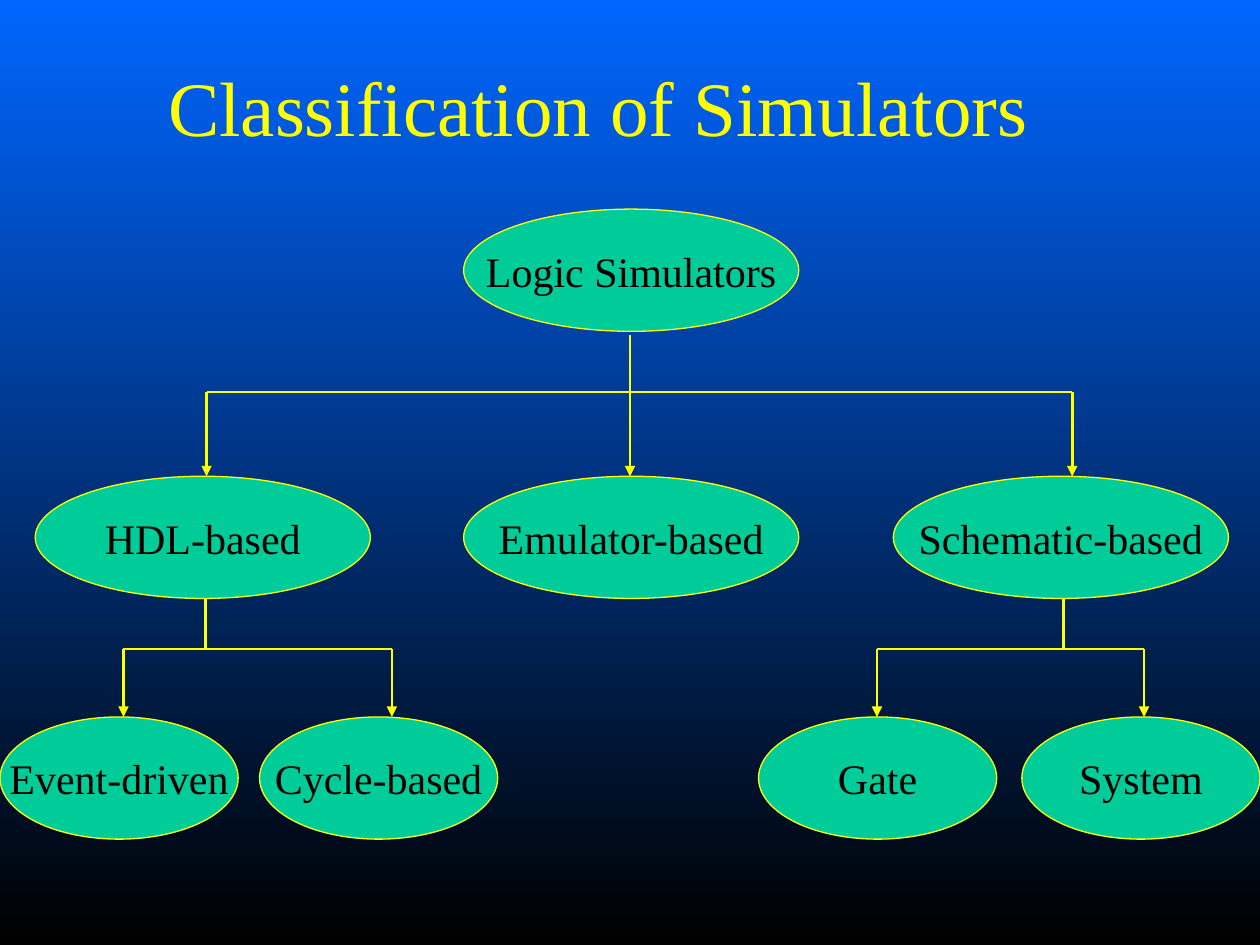
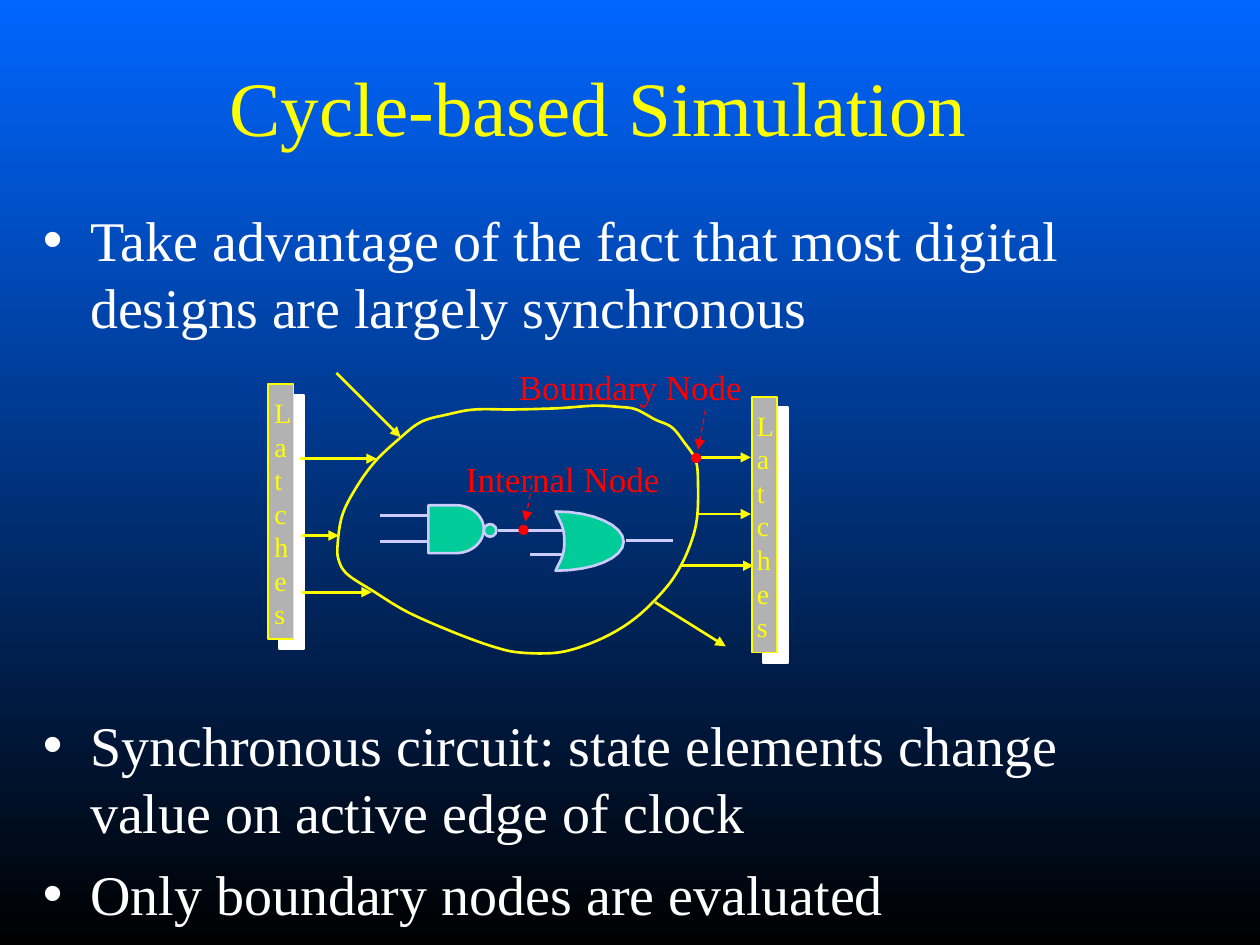
from dataclasses import dataclass
from typing import Optional

from lxml import etree
from pptx import Presentation
from pptx import util as u
from pptx.dml.color import RGBColor
from pptx.enum import dml, shapes, text
from pptx.oxml import ns

WIDTH, HEIGHT = u.Inches(10), u.Inches(7.5)
GRID_COLUMNS, GRID_ROWS = 100, 75

SKY = RGBColor(0x00, 0x66, 0xFF)
BLACK = RGBColor(0x00, 0x00, 0x00)
YELLOW = RGBColor(0xFF, 0xFF, 0x00)
GREEN = RGBColor(0x00, 0xCC, 0x99)
WHITE = RGBColor(0xFF, 0xFF, 0xFF)
GRAY = RGBColor(0xB2, 0xB2, 0xB2)
LILAC = RGBColor(0xCC, 0xCC, 0xFF)
RED = RGBColor(0xFF, 0x00, 0x00)

FONT = "Times New Roman"
Point = tuple[float, float]


@dataclass(frozen=True)
class Area:
    column: float
    row: float
    width: float
    height: float


@dataclass(frozen=True)
class Branch:
    stem: float
    top: float
    bar: float
    bottom: float
    drops: tuple[float, ...]


@dataclass(frozen=True)
class Wire:
    start: Point
    end: Point
    color: RGBColor = YELLOW
    weight: float = 1.5
    arrow: bool = True
    dashed: bool = False


@dataclass(frozen=True)
class NodeMark:
    label: str
    label_area: Area
    dot: Area
    pointer: Wire


@dataclass(frozen=True)
class Latch:
    bar: Area
    letters: Area


TITLE_AREA = Area(2.4, 2.5, 90.2, 11.7)
UPPER_LIST = Area(2.4, 15.8, 90.2, 12.3)
LOWER_LIST = Area(2.4, 55.9, 90.2, 19.1)

OVAL_HEIGHT = 9.7
LEVELS = (
    (16.6, 26.6, {"Logic Simulators": 36.8}),
    (37.8, 26.6, {"HDL-based": 2.8, "Emulator-based": 36.8, "Schematic-based": 70.9}),
    (56.9, 18.9, {"Event-driven": 0, "Cycle-based": 20.6, "Gate": 60.2, "System": 81.1}),
)
BRANCHES = (
    Branch(50, 26.6, 31.1, 37.8, (16.4, 50, 85.1)),
    Branch(16.3, 47.5, 51.5, 56.9, (9.8, 31.1)),
    Branch(84.4, 47.5, 51.5, 56.9, (69.6, 90.8)),
)

CLOUD = (
    (49.2, 32.3), (47.2, 32.2), (44.3, 32.4), (40.8, 32.5), (37.7, 32.5), (35.5, 32.9),
    (33.4, 33.5), (31.6, 34.9), (29.8, 36.6), (28.4, 38.5), (27.2, 40.8), (26.8, 43.2),
    (26.9, 44.5), (27.6, 45.6), (29.6, 46.9), (32.4, 48.6), (36.3, 50.3), (39.4, 51.4),
    (41.4, 51.8), (44.2, 51.8), (46.5, 51.2), (48.7, 50.2), (50.5, 49), (52.1, 47.5),
    (53.5, 45.8), (54.6, 43.7), (55.3, 41.3), (55.4, 38.3), (55.2, 36.5), (54.3, 35.1),
    (53.3, 33.9), (52, 33.3), (50.5, 32.5),
)
OR_GATE = (
    ((44.1, 40.6), (44.4, 41.4), (44.8, 41.7), (44.8, 43)),
    ((44.8, 43), (44.8, 44.2), (44.4, 44.6), (44.1, 45.3)),
    ((44.1, 45.3), (47.1, 45.3), (49.5, 44.3), (49.5, 43)),
    ((49.5, 43), (49.5, 41.7), (47.1, 40.6), (44.1, 40.6)),
)
NAND_BODY = Area(34, 40.1, 4.4, 3.8)
NAND_BUBBLE = Area(38.4, 41.6, 1, 1)
LATCHES = (
    Latch(Area(21.3, 30.5, 2, 20.2), Area(20.8, 30.9, 3.3, 19.7)),
    Latch(Area(59.7, 31.5, 2, 20.3), Area(59.1, 31.9, 3.3, 19.7)),
)
SIGNALS = (
    Wire((23.8, 36.4), (29.9, 36.4)),
    Wire((23.9, 47), (29.5, 47)),
    Wire((23.9, 42.5), (26.9, 42.5)),
    Wire((55.4, 36.3), (59.6, 36.3)),
    Wire((55.4, 40.8), (59.6, 40.8)),
    Wire((54, 44.9), (59.8, 44.9)),
    Wire((52, 47.8), (57.6, 51.3)),
    Wire((26.7, 29.6), (31.8, 34.7)),
)
GATE_LEADS = tuple(
    Wire((left, row), (right, row), LILAC, arrow=False)
    for left, right, row in (
        (39.5, 44.6, 42.1), (30.2, 33.9, 40.9), (30.2, 33.9, 43),
        (42.1, 44.6, 44), (49.7, 53.4, 42.9),
    )
)
NODE_MARKS = (
    NodeMark("Internal Node", Area(36, 35.8, 17.4, 4.4), Area(41.2, 41.7, 0.7, 0.7),
             Wire((42.2, 38.5), (41.7, 41.4), RED, 0.75, dashed=True)),
    NodeMark("Boundary Node", Area(40.2, 28.5, 19.7, 4.4), Area(54.9, 36, 0.7, 0.7),
             Wire((56, 32.5), (55.4, 35.7), RED, 0.75, dashed=True)),
)


def columns(count: float) -> u.Emu:
    return u.Emu(round(WIDTH * count / GRID_COLUMNS))


def rows(count: float) -> u.Emu:
    return u.Emu(round(HEIGHT * count / GRID_ROWS))


def bounds(area: Area) -> tuple[u.Emu, ...]:
    return columns(area.column), rows(area.row), columns(area.width), rows(area.height)


def write(frame, lines, *, size: float, color: RGBColor, align=text.PP_ALIGN.LEFT,
          anchor=text.MSO_ANCHOR.TOP, wrap: bool = True, gap: float = 0,
          fit=text.MSO_AUTO_SIZE.NONE) -> None:
    frame.word_wrap = wrap
    frame.auto_size = fit
    frame.vertical_anchor = anchor
    for index, line in enumerate(lines):
        para = frame.add_paragraph() if index else frame.paragraphs[0]
        para.alignment = align
        para.space_before = u.Pt(gap if index else 0)
        span = para.add_run()
        span.text = line
        span.font.name = FONT
        span.font.size = u.Pt(size)
        span.font.color.rgb = color


def paint(shape, fill: Optional[RGBColor], line: RGBColor, weight: float) -> None:
    shape.shadow.inherit = False
    if fill is None:
        shape.fill.background()
    else:
        shape.fill.solid()
        shape.fill.fore_color.rgb = fill
    shape.line.color.rgb = line
    shape.line.width = u.Pt(weight)


def draw_shape(page, kind, area: Area, fill: RGBColor, line: RGBColor, weight: float):
    shape = page.shapes.add_shape(kind, *bounds(area))
    paint(shape, fill, line, weight)
    return shape


def draw_wire(page, wire: Wire) -> None:
    (left, top), (right, bottom) = wire.start, wire.end
    connector = page.shapes.add_connector(
        shapes.MSO_CONNECTOR.STRAIGHT, columns(left), rows(top), columns(right), rows(bottom))
    connector.line.color.rgb = wire.color
    connector.line.width = u.Pt(wire.weight)
    if wire.dashed:
        connector.line.dash_style = dml.MSO_LINE.DASH
    properties = connector._element.spPr
    if wire.arrow:
        etree.SubElement(properties.find(ns.qn("a:ln")), ns.qn("a:tailEnd"), type="triangle")
    etree.SubElement(properties, ns.qn("a:effectLst"))


def draw_label(page, area: Area, lines, size: float, color: RGBColor) -> None:
    box = page.shapes.add_textbox(*bounds(area))
    write(box.text_frame, lines, size=size, color=color, wrap=False,
          fit=text.MSO_AUTO_SIZE.SHAPE_TO_FIT_TEXT)


def cubic(curve: tuple[Point, ...], steps: int = 8) -> list[Point]:
    points = []
    for step in range(1, steps + 1):
        t = step / steps
        weights = ((1 - t) ** 3, 3 * t * (1 - t) ** 2, 3 * t * t * (1 - t), t ** 3)
        points.append(tuple(sum(w * p[axis] for w, p in zip(weights, curve))
                            for axis in (0, 1)))
    return points


def smooth_curves(knots: tuple[Point, ...]) -> list[tuple[Point, ...]]:
    curves = []
    for index, start in enumerate(knots):
        before = knots[index - 1]
        end, after = (knots[(index + ahead) % len(knots)] for ahead in (1, 2))
        leaving = tuple(s + (e - b) / 6 for b, s, e in zip(before, start, end))
        arriving = tuple(e - (a - s) / 6 for s, e, a in zip(start, end, after))
        curves.append((start, leaving, arriving, end))
    return curves


def draw_outline(page, curves, fill: Optional[RGBColor], line: RGBColor) -> None:
    points = [point for curve in curves for point in cubic(curve)]
    scaled = [(columns(x), rows(y)) for x, y in points]
    builder = page.shapes.build_freeform(*scaled[-1])
    builder.add_line_segments(scaled, close=True)
    paint(builder.convert_to_shape(), fill, line, 1.5)


def cast_shadow(shape, color: RGBColor) -> None:
    effects = shape._element.spPr.find(ns.qn("a:effectLst"))
    shadow = etree.SubElement(effects, ns.qn("a:outerShdw"), dist=str(u.Pt(8.5)),
                              dir=str(45 * 60000), algn="ctr", rotWithShape="0")
    etree.SubElement(shadow, ns.qn("a:srgbClr"), val=str(color))


def place(holder, area: Area) -> None:
    holder.left, holder.top, holder.width, holder.height = bounds(area)


def add_page(deck, layout_name: str, title: str):
    page = deck.slides.add_slide(deck.slide_layouts.get_by_name(layout_name))
    place(page.shapes.title, TITLE_AREA)
    write(page.shapes.title.text_frame, [title], size=44, color=YELLOW,
          align=text.PP_ALIGN.CENTER, anchor=text.MSO_ANCHOR.MIDDLE)
    return page


def fill_list(holder, area: Area, items) -> None:
    place(holder, area)
    write(holder.text_frame, items, size=32, color=WHITE, gap=8)


def draw_branch(page, branch: Branch) -> None:
    draw_wire(page, Wire((branch.stem, branch.top), (branch.stem, branch.bar), arrow=False))
    draw_wire(page, Wire((branch.drops[0], branch.bar), (branch.drops[-1], branch.bar),
                         arrow=False))
    for drop in branch.drops:
        draw_wire(page, Wire((drop, branch.bar), (drop, branch.bottom)))


def build_classification(deck) -> None:
    page = add_page(deck, "Title Only", "Classification of Simulators")
    for row, width, ovals in LEVELS:
        for label, column in ovals.items():
            oval = draw_shape(page, shapes.MSO_SHAPE.OVAL,
                              Area(column, row, width, OVAL_HEIGHT), GREEN, YELLOW, 0.75)
            write(oval.text_frame, [label], size=24, color=BLACK, wrap=False,
                  align=text.PP_ALIGN.CENTER, anchor=text.MSO_ANCHOR.MIDDLE)
    for branch in BRANCHES:
        draw_branch(page, branch)


def build_cycle_based(deck) -> None:
    page = add_page(deck, "Two Content", "Cycle-based Simulation")
    fill_list(page.placeholders[1], UPPER_LIST, [
        "Take advantage of the fact that most digital designs are largely synchronous"])
    fill_list(page.placeholders[2], LOWER_LIST, [
        "Synchronous circuit: state elements change value on active edge of clock",
        "Only boundary nodes are evaluated"])
    draw_outline(page, smooth_curves(CLOUD), None, YELLOW)
    for latch in LATCHES:
        bar = draw_shape(page, shapes.MSO_SHAPE.RECTANGLE, latch.bar, GRAY, YELLOW, 1)
        cast_shadow(bar, WHITE)
    for wire in SIGNALS:
        draw_wire(page, wire)
    draw_outline(page, OR_GATE, GREEN, LILAC)
    draw_shape(page, shapes.MSO_SHAPE.FLOWCHART_DELAY, NAND_BODY, GREEN, LILAC, 1.5)
    draw_shape(page, shapes.MSO_SHAPE.OVAL, NAND_BUBBLE, GREEN, LILAC, 1.5)
    for lead in GATE_LEADS:
        draw_wire(page, lead)
    for mark in NODE_MARKS:
        draw_shape(page, shapes.MSO_SHAPE.OVAL, mark.dot, RED, RED, 0.75)
        draw_label(page, mark.label_area, [mark.label], 20, RED)
        draw_wire(page, mark.pointer)
    for latch in LATCHES:
        draw_label(page, latch.letters, "Latches", 16, YELLOW)


def main() -> None:
    deck = Presentation()
    deck.slide_width, deck.slide_height = WIDTH, HEIGHT
    backdrop = deck.slide_master.background.fill
    backdrop.gradient()
    backdrop.gradient_angle = 270
    for stop, color in zip(backdrop.gradient_stops, (SKY, BLACK)):
        stop.color.rgb = color
    build_classification(deck)
    build_cycle_based(deck)
    deck.save("out.pptx")


if __name__ == "__main__":
    main()
